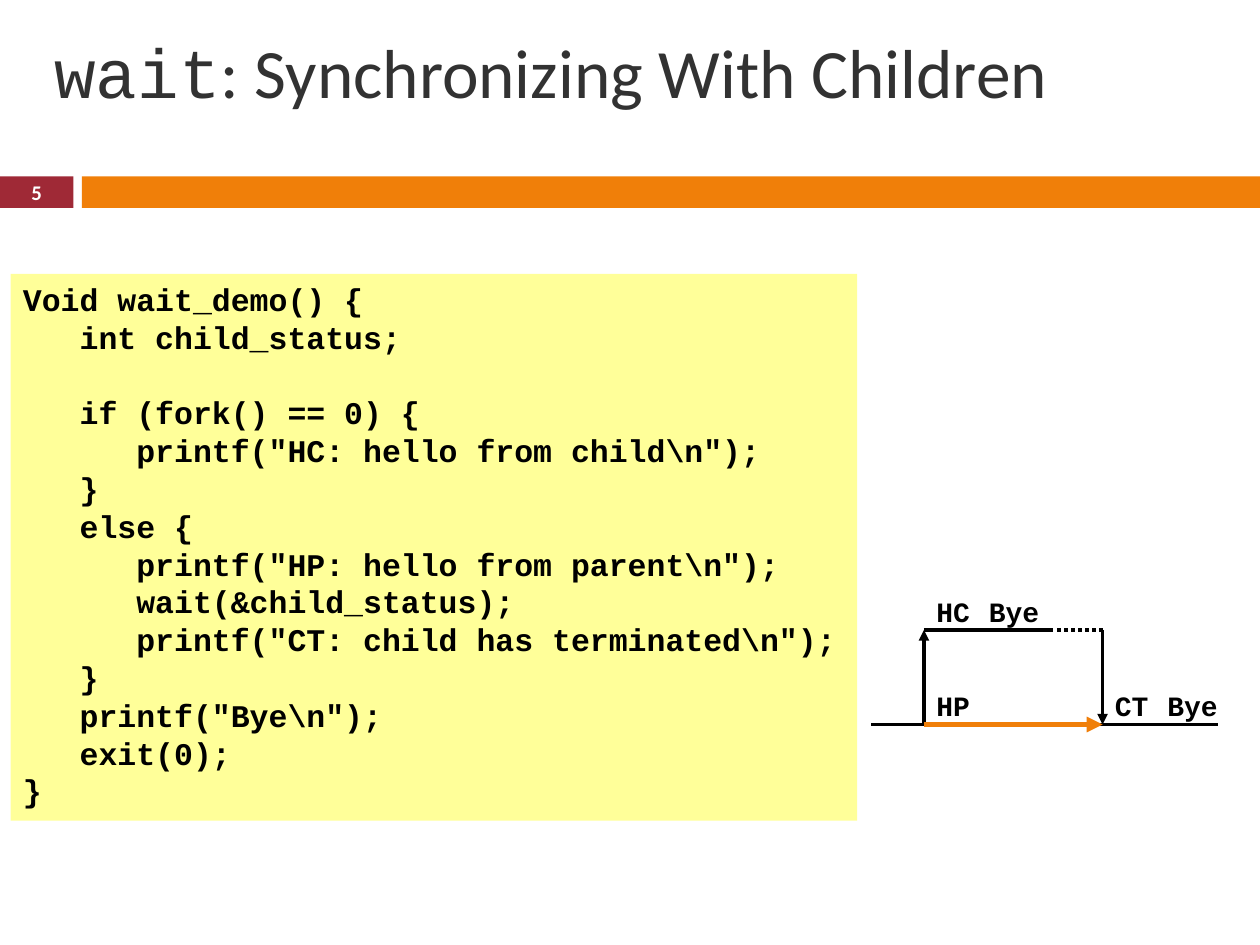
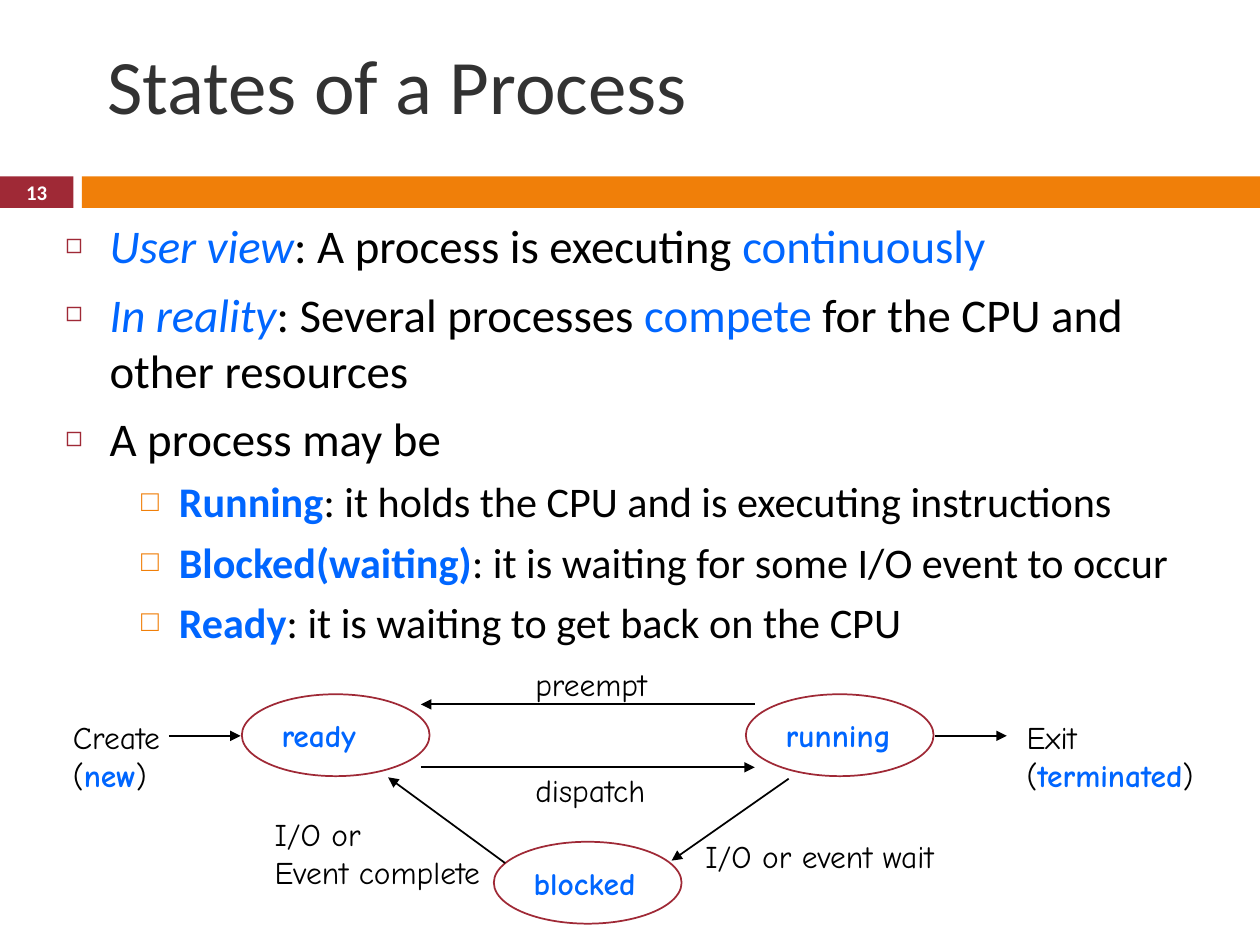
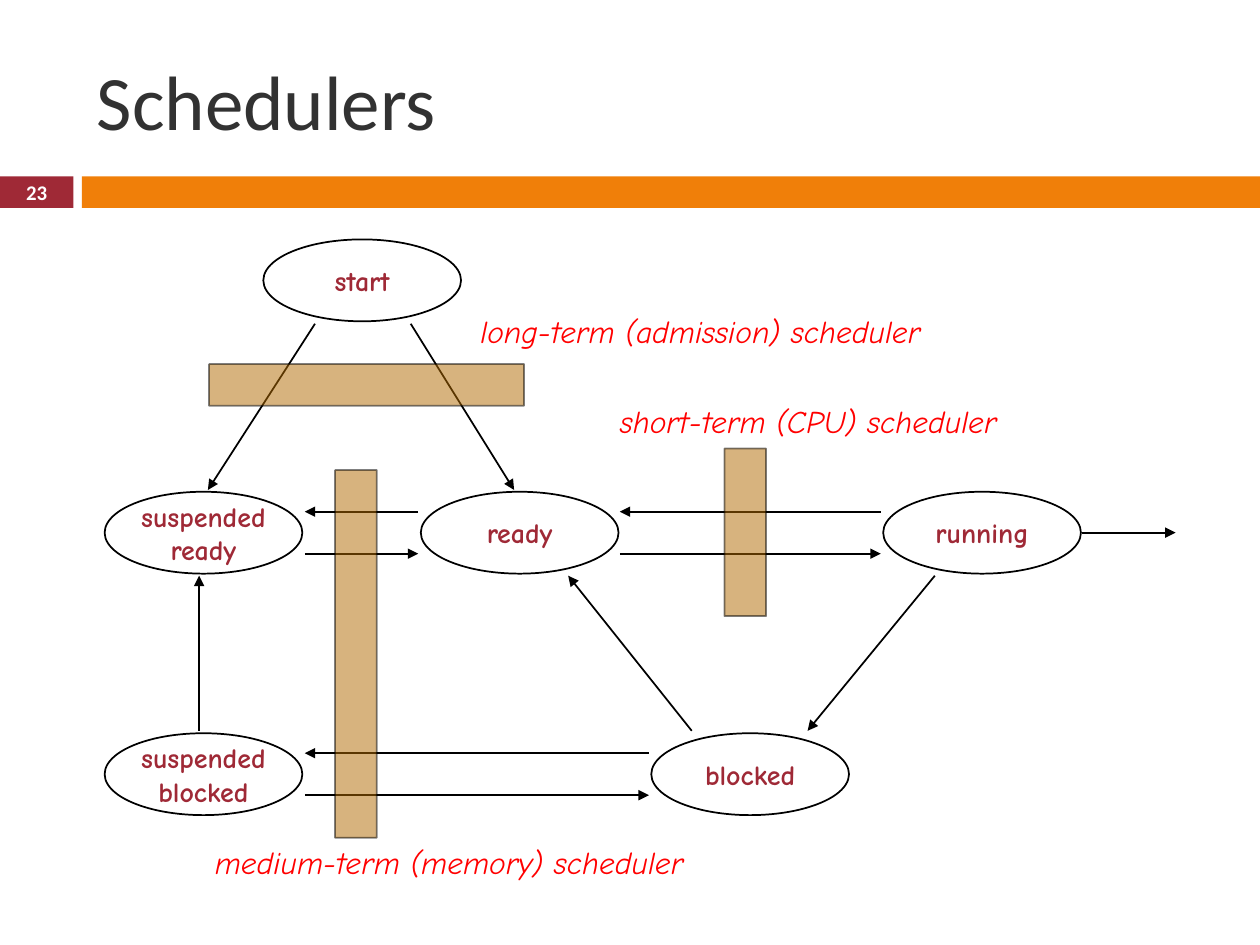
from itertools import pairwise

from lxml import etree
from pptx import Presentation
from pptx.dml.color import RGBColor
from pptx.enum import dml, shapes, text
from pptx.oxml.ns import qn
from pptx.util import Pt

# Shared look
BLACK = RGBColor(0x00, 0x00, 0x00)
WHITE = RGBColor(0xFF, 0xFF, 0xFF)
GREY = RGBColor(0x32, 0x32, 0x32)
MAROON = RGBColor(0x9F, 0x29, 0x36)
ORANGE = RGBColor(0xF0, 0x7F, 0x09)
BLUE = RGBColor(0x00, 0x66, 0xFF)
RED = RGBColor(0xFF, 0x00, 0x00)
YELLOW = RGBColor(0xFF, 0xFF, 0x99)
BROWN = RGBColor(0xB2, 0x6B, 0x02)
SANS, COMIC, MONO = "Calibri", "Comic Neue", "Courier New"
LEFT, CENTER = text.PP_ALIGN.LEFT, text.PP_ALIGN.CENTER
TOP, MIDDLE = text.MSO_ANCHOR.TOP, text.MSO_ANCHOR.MIDDLE
RECT, OVAL = shapes.MSO_SHAPE.RECTANGLE, shapes.MSO_SHAPE.OVAL

TITLE = dict(font=SANS, size=44, color=GREY)
NUMBER = dict(font=SANS, size=11.9, color=WHITE, bold=True)
CODE_STYLE = dict(font=MONO, size=18, color=BLACK, bold=True)
TRACE = dict(CODE_STYLE, size=16)
LABEL = dict(font=COMIC, size=18, color=BLACK)
STATE = dict(LABEL, color=BLUE, bold=True)
SCHEDULED = dict(font=COMIC, size=16, color=MAROON, bold=True)
CAPTION = dict(LABEL, color=RED, italic=True)

# Span overrides
KEY = dict(color=BLUE)
ITALIC_KEY = dict(color=BLUE, italic=True)
BOLD_KEY = dict(color=BLUE, bold=True)

# Slide 1: indent level and code line; a gap is one line high
CODE = [
    (0, "Void wait_demo() {"),
    (1, "int child_status;"),
    (1, "if (fork() == 0) {"),
    (2, 'printf("HC: hello from child\\n");'),
    (1, "}"),
    (1, "else {"),
    (2, 'printf("HP: hello from parent\\n");'),
    (2, "wait(&child_status);"),
    (2, 'printf("CT: child has terminated\\n");'),
    (1, "}"),
    (1, 'printf("Bye\\n");'),
    (1, "exit(0);"),
    (0, "}"),
]
GAP_BEFORE = 2
CODE_LINE, CODE_INDENT = 21.6, 32.4
STOPS = [498, 528, 558, 600, 630, 660, 696]
CHILD_Y, PARENT_Y = 360, 414
TRACE_LABELS = [("HP", 528, PARENT_Y), ("HC", 528, CHILD_Y), ("Bye", 558, CHILD_Y),
                ("CT", 630, PARENT_Y), ("Bye", 660, PARENT_Y)]

# Slide 2
POINTS = [
    (0, [("User view", ITALIC_KEY), ": A process is executing ", ("continuously", KEY)]),
    (0, [("In reality", ITALIC_KEY), ": Several processes ", ("compete", KEY),
         " for the CPU and other resources"]),
    (0, ["A process may be"]),
    (1, [("Running", BOLD_KEY), ": it holds the CPU and is executing instructions"]),
    (1, [("Blocked(waiting)", BOLD_KEY), ": it is waiting for some I/O event to occur"]),
    (1, [("Ready", BOLD_KEY), ": it is waiting to get back on the CPU"]),
]
LEVELS = [
    dict(size=26.8, margin=25.2, hang=25.2, before=7, mark="◻", color=MAROON, percent=60),
    dict(size=24.1, margin=64.8, hang=21.6, before=5.5, mark="□", color=ORANGE, percent=70),
]
STATES = [("ready", 138.2, 396.7), ("blocked", 282.2, 481), ("running", 426.2, 396.7)]
STATE_SIZE = (107.3, 46.8)
STATE_ARROWS = [
    (96.5, 420.5, 137.5, 420.5), (534.3, 420.5, 575.3, 420.5),
    (431.3, 402.5, 240.5, 402.5), (240.5, 438.5, 431.3, 438.5),
    (450.7, 445, 383.8, 491.8), (288.7, 493.2, 221.8, 444.2),
]
STATE_LABELS = [
    (579.6, 406.8, 119.5, [["Exit"], ["(", ("terminated", BOLD_KEY), ")"]]),
    (34.6, 406.8, 69.1, [["Create"], ["(", ("new", BOLD_KEY), ")"]]),
    (298.8, 376.6, 81.4, [["preempt"]]),
    (298.8, 437, 82.1, [["dispatch"]]),
    (396, 474.5, 146.9, [["I/O or event wait"]]),
    (149.8, 462.2, 139.7, [["I/O or"], ["Event complete"]]),
]

# Slide 3
QUEUE_SIZE = (113, 46.8)
READY_ROW, BLOCKED_ROW = 281, 419
QUEUES = [
    (["start"], 150.5, 136.8), (["suspended", "ready"], 59.8, READY_ROW),
    (["ready"], 240.5, READY_ROW), (["running"], 504.7, READY_ROW),
    (["suspended", "blocked"], 59.8, BLOCKED_ROW), (["blocked"], 372.2, BLOCKED_ROW),
]
TWO_WAY = [(174.2, 239, READY_ROW), (354.2, 503.3, READY_ROW), (174.2, 370.8, BLOCKED_ROW)]
ONE_WAY = [
    (180, 185, 118.8, 280), (234.7, 185, 293.8, 280), (618.5, 304.4, 671.8, 304.4),
    (534.2, 329, 461.5, 417.6), (395.3, 417.6, 324.7, 329), (113.8, 417.6, 113.8, 329),
]
BARS = [(414, 256.3, 23.8, 95.8), (119.5, 208.1, 180, 23.8), (191.5, 268.6, 23.8, 210.2)]
CAPTIONS = [
    ("long-term (admission) scheduler", 264.2, 175, 272.2),
    ("medium-term (memory) scheduler", 113.8, 478.1, 285.8),
    ("short-term (CPU) scheduler", 342, 226.1, 239.8),
]


def add_span(para, words, font, size, color, bold=False, italic=False):
    span = para.add_run()
    span.text = words
    span.font.name, span.font.size = font, Pt(size)
    span.font.color.rgb = color
    span.font.bold, span.font.italic = bold, italic


def write(frame, paras, style, align=LEFT, anchor=TOP, wrap=False):
    """Fill a frame; a span is plain words or (words, style overrides)."""
    frame.auto_size = text.MSO_AUTO_SIZE.NONE
    frame.word_wrap, frame.vertical_anchor = wrap, anchor
    for index, spans in enumerate(paras):
        para = frame.add_paragraph() if index else frame.paragraphs[0]
        para.alignment = align
        for span in spans:
            words, extra = (span, {}) if isinstance(span, str) else span
            add_span(para, words, **{**style, **extra})


def place(shape, *rect):
    shape.left, shape.top, shape.width, shape.height = map(Pt, rect)


def add_box(page, kind, rect, fill, line=None):
    box = page.shapes.add_shape(kind, *map(Pt, rect))
    box.shadow.inherit = False
    box.fill.solid()
    box.fill.fore_color.rgb = fill
    if line is None:
        box.line.fill.background()
    else:
        box.line.color.rgb, box.line.width = line, Pt(1)
    return box


def add_label(page, rect, paras, style, **layout):
    box = page.shapes.add_textbox(*map(Pt, rect))
    write(box.text_frame, paras, style, **layout)


def add_line(page, ends, color=BLACK, width=1, arrow=True, dash=None):
    link = page.shapes.add_connector(shapes.MSO_CONNECTOR.STRAIGHT, *map(Pt, ends))
    link.line.color.rgb, link.line.width = color, Pt(width)
    if dash:
        link.line.dash_style = dash
    props = link._element.spPr
    if arrow:
        etree.SubElement(props.find(qn("a:ln")), qn("a:tailEnd"), type="triangle")
    etree.SubElement(props, qn("a:effectLst"))


def add_page(deck, layout, number, title, rect, size=44):
    """A slide with the shared bands, number and title."""
    page = deck.slides.add_slide(deck.slide_layouts[layout])
    add_box(page, RECT, (0, 100.8, 42, 18), MAROON)
    add_box(page, RECT, (46.8, 100.8, 673.2, 18), ORANGE)
    place(page.shapes.title, *rect)
    write(page.shapes.title.text_frame, [title], dict(TITLE, size=size),
          anchor=MIDDLE, wrap=True)
    add_label(page, (0, 100.1, 42, 19.4), [[number]], NUMBER,
              align=CENTER, anchor=MIDDLE, wrap=True)
    return page


def add_bullet(para, level):
    props = para._p.get_or_add_pPr()
    props.set("marL", str(Pt(level["margin"])))
    props.set("indent", str(-Pt(level["hang"])))
    para.space_before = Pt(level["before"])
    color = etree.SubElement(props, qn("a:buClr"))
    etree.SubElement(color, qn("a:srgbClr"), val=str(level["color"]))
    etree.SubElement(props, qn("a:buSzPct"), val=str(level["percent"] * 1000))
    etree.SubElement(props, qn("a:buChar"), char=level["mark"])


def build_wait(deck):
    page = add_page(deck, 5, "5", [("wait", dict(font=MONO)), ": Synchronizing With Children"],
                    (23.8, 18, 653.8, 45.4), size=39.6)
    # Code listing
    listing = add_box(page, RECT, (6, 156.5, 483.8, 312.5), YELLOW)
    write(listing.text_frame, [[line] for _, line in CODE], CODE_STYLE)
    for index, (para, (level, _)) in enumerate(zip(listing.text_frame.paragraphs, CODE)):
        para.line_spacing = Pt(CODE_LINE)
        para._p.get_or_add_pPr().set("marL", str(Pt(level * CODE_INDENT)))
        if index == GAP_BEFORE:
            para.space_before = Pt(CODE_LINE)
    # Process trace
    for start, end in pairwise(STOPS):
        add_line(page, (start, PARENT_Y, end, PARENT_Y), width=2, arrow=False)
    fork, _, child_exit, join = STOPS[1:5]
    for start, end in pairwise(STOPS[1:5]):
        dash = dml.MSO_LINE.ROUND_DOT if start == child_exit else None
        add_line(page, (start, CHILD_Y, end, CHILD_Y), width=2, arrow=False, dash=dash)
    add_line(page, (fork, PARENT_Y, fork, CHILD_Y), width=2)
    add_line(page, (join, CHILD_Y, join, PARENT_Y), width=2)
    for words, left, line_y in TRACE_LABELS:
        add_label(page, (left, line_y - 24, 14.4 + 9.6 * len(words), 26.6), [[words]], TRACE)
    add_line(page, (fork, PARENT_Y, join, PARENT_Y), ORANGE, 3)


def build_states(deck):
    page = add_page(deck, 1, "13", ["States of a Process"], (54, 18, 612, 59.8))
    # Bullet list
    body = page.placeholders[1]
    place(body, 30.2, 120.2, 660.2, 250.6)
    write(body.text_frame, [[] for _ in POINTS], {}, wrap=True)
    for para, (depth, spans) in zip(body.text_frame.paragraphs, POINTS):
        para.level = depth
        add_bullet(para, LEVELS[depth])
        for span in spans:
            words, extra = (span, {}) if isinstance(span, str) else span
            style = dict(font=SANS, size=LEVELS[depth]["size"], color=BLACK)
            add_span(para, words, **{**style, **extra})
    # State diagram
    for name, left, top in STATES:
        oval = add_box(page, OVAL, (left, top, *STATE_SIZE), WHITE, MAROON)
        write(oval.text_frame, [[name]], STATE, anchor=MIDDLE)
    for ends in STATE_ARROWS:
        add_line(page, ends)
    for left, top, width, paras in STATE_LABELS:
        add_label(page, (left, top, width, 7.2 + 21.6 * len(paras)), paras, LABEL)


def build_schedulers(deck):
    page = add_page(deck, 5, "23", ["Schedulers"], (48.2, 18, 642.2, 77.8))
    # Queues and transitions
    for names, left, top in QUEUES:
        oval = add_box(page, OVAL, (left, top, *QUEUE_SIZE), WHITE, BLACK)
        write(oval.text_frame, [[name] for name in names], SCHEDULED, CENTER, MIDDLE)
    for ends in ONE_WAY:
        add_line(page, ends)
    for left, right, row in TWO_WAY:
        middle = row + QUEUE_SIZE[1] / 2
        add_line(page, (right, middle - 12, left, middle - 12))
        add_line(page, (left, middle + 12, right, middle + 12))
    # Translucent scheduler bars
    for rect in BARS:
        bar = add_box(page, RECT, rect, BROWN, BLACK)
        for color, alpha in zip(bar._element.spPr.iter(qn("a:srgbClr")), (51, 50)):
            etree.SubElement(color, qn("a:alpha"), val=str(alpha * 1000))
    for words, left, top, width in CAPTIONS:
        add_label(page, (left, top, width, 28.8), [[words]], CAPTION, align=CENTER)


def main():
    deck = Presentation()
    deck.slide_width, deck.slide_height = Pt(720), Pt(540)
    build_wait(deck)
    build_states(deck)
    build_schedulers(deck)
    deck.save("out.pptx")


if __name__ == "__main__":
    main()
